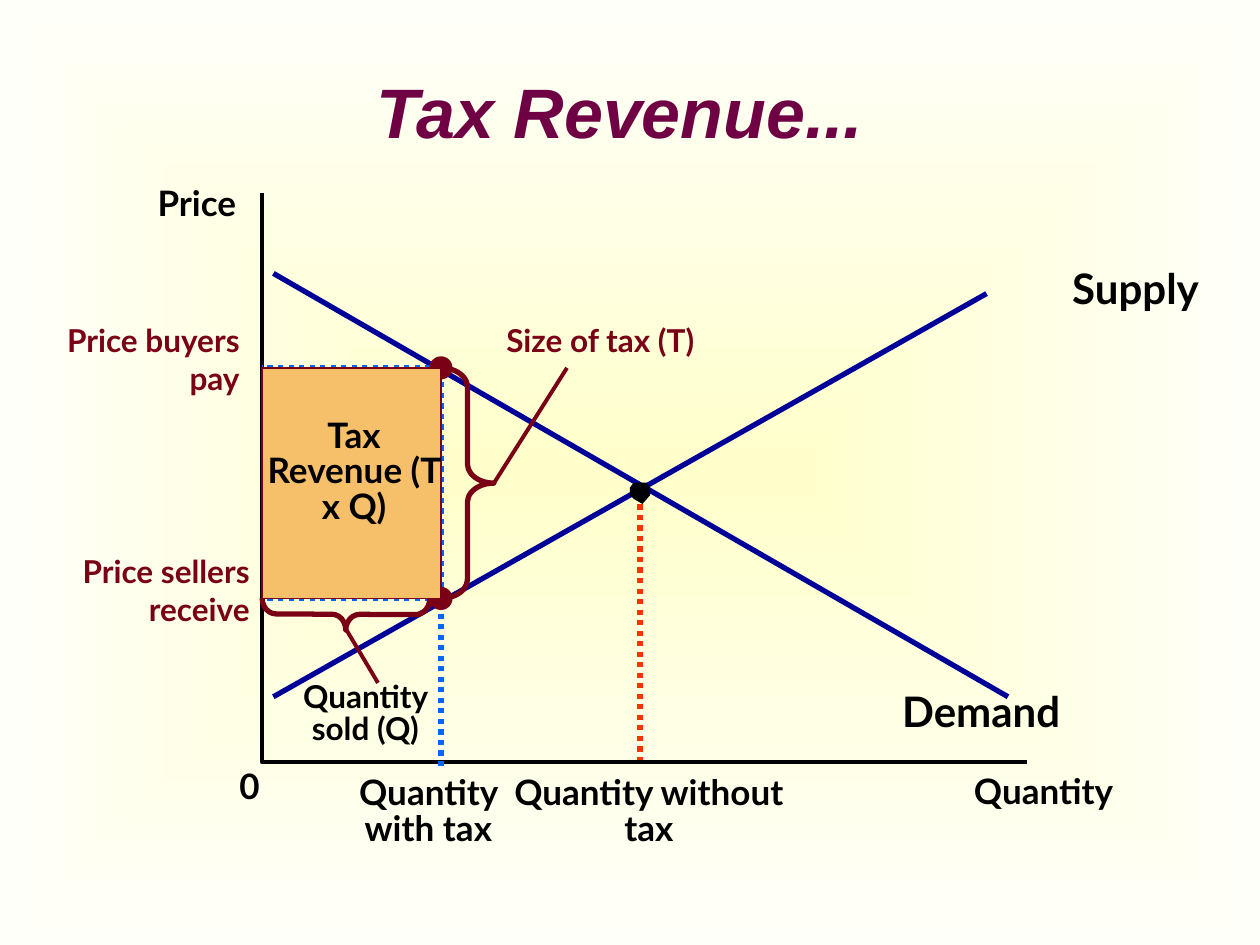
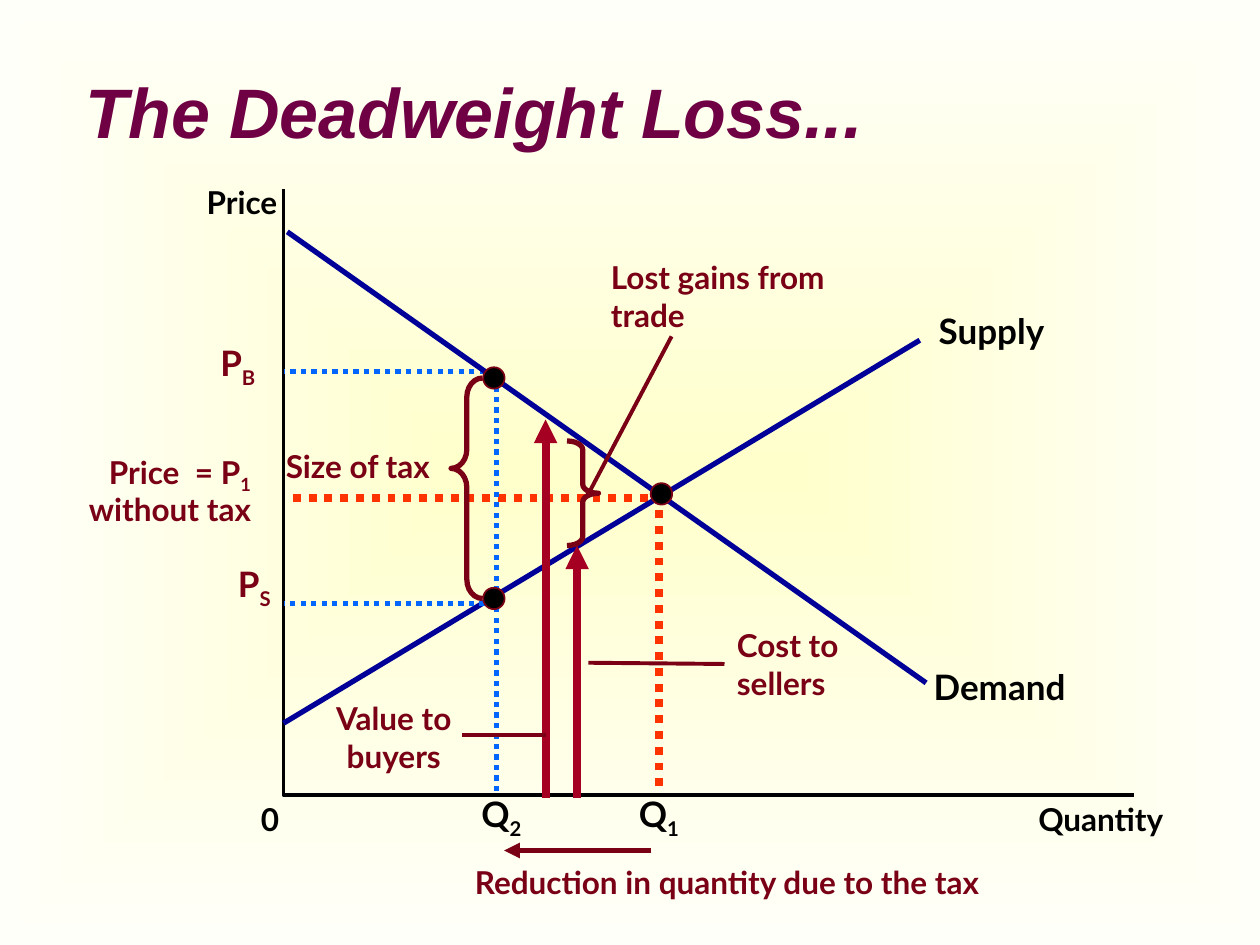
from dataclasses import dataclass
from typing import Any

from lxml import etree
from pptx import Presentation
from pptx import util as u
from pptx.dml.color import RGBColor
from pptx.enum import dml, shapes, text
from pptx.oxml.ns import qn

BLACK = "000000"
MAROON = "790015"
CRIMSON = "A50021"
PLUM = "6E0043"
NAVY = "000099"
BLUE = "0066FF"
ORANGE = "FF3300"
SAND = "F6BF69"
BACKGROUND = ("FFFFCC", "FFFFFA")
BODY_FONT, TITLE_FONT = "Lato", "Arial"
DOT = 0.17
LEFT, CENTER, RIGHT = text.PP_ALIGN.LEFT, text.PP_ALIGN.CENTER, text.PP_ALIGN.RIGHT


def color(value):
    return RGBColor.from_string(value)


def style_line(line, stroke, width, dotted=False):
    line.color.rgb = color(stroke)
    line.width = u.Pt(width)
    if dotted:
        line.dash_style = dml.MSO_LINE.ROUND_DOT


def style_shape(shape, fill=None, stroke=None, width=1, dotted=False):
    shape.shadow.inherit = False
    if fill:
        shape.fill.solid()
        shape.fill.fore_color.rgb = color(fill)
    else:
        shape.fill.background()
    if stroke:
        style_line(shape.line, stroke, width, dotted)
    else:
        shape.line.fill.background()


def style_run(run, size, ink, font=BODY_FONT, italic=False):
    run.font.size = u.Pt(size)
    run.font.name = font
    run.font.bold = True
    run.font.italic = italic
    run.font.color.rgb = color(ink)


@dataclass
class Diagram:
    slide: Any
    left: float
    top: float
    width: float
    height: float

    def x(self, value):
        return u.Inches(self.left + value)

    def y(self, value):
        return u.Inches(self.top + value)

    def box(self, left, top, width, height):
        return self.x(left), self.y(top), u.Inches(width), u.Inches(height)

    def line(self, start, end, stroke, width=3, dotted=False, arrow=False):
        connector = self.slide.shapes.add_connector(
            shapes.MSO_CONNECTOR.STRAIGHT,
            self.x(start[0]), self.y(start[1]), self.x(end[0]), self.y(end[1]))
        style_line(connector.line, stroke, width, dotted)
        properties = connector.element.spPr
        if arrow:
            etree.SubElement(properties.find(qn("a:ln")), qn("a:tailEnd")).set("type", "triangle")
        etree.SubElement(properties, qn("a:effectLst"))
        return connector

    def leader(self, start, end):
        return self.line(start, end, MAROON, 2.25)

    def outline(self, points, close=False, **style):
        corners = [(self.x(across), self.y(down)) for across, down in points]
        builder = self.slide.shapes.build_freeform(*corners[0])
        builder.add_line_segments(corners[1:], close=close)
        style_shape(builder.convert_to_shape(), **style)

    def preset(self, kind, box, **style):
        shape = self.slide.shapes.add_shape(kind, *self.box(*box))
        style_shape(shape, **style)
        return shape

    def dot(self, across, down, fill):
        self.preset(shapes.MSO_SHAPE.OVAL, (across - DOT / 2, down - DOT / 2, DOT, DOT),
                    fill=fill, stroke=MAROON)

    def brace(self, kind, box, curve, tip=0.5, rotation=0):
        brace = self.preset(kind, box, stroke=MAROON, width=3)
        brace.adjustments[0] = curve
        brace.adjustments[1] = tip
        brace.rotation = rotation

    def words(self, content, box, size, ink, align, spacing, before, insets, wrap):
        text_box = self.slide.shapes.add_textbox(*self.box(*box))
        frame = text_box.text_frame
        frame.word_wrap = wrap
        frame.auto_size = text.MSO_AUTO_SIZE.SHAPE_TO_FIT_TEXT
        frame.margin_left = frame.margin_right = u.Inches(insets[0])
        frame.margin_top = frame.margin_bottom = u.Inches(insets[1])
        for index, row in enumerate(content.split("\n")):
            paragraph = frame.add_paragraph() if index else frame.paragraphs[0]
            paragraph.alignment = align
            paragraph.line_spacing = spacing
            paragraph.space_before = u.Pt(before)
            for position, part in enumerate(row.split("_")):
                run = paragraph.add_run()
                run.text = part
                style_run(run, size, ink)
                if position:
                    run.font._element.set("baseline", "-25000")
        return text_box

    def label(self, content, box, size=20):
        return self.words(content, box, size, BLACK, LEFT, 1.0, 0, (0, 0), False)

    def caption(self, content, box, size=20):
        return self.words(content, box, size, BLACK, CENTER, 0.85, 0, (0, 0), True)

    def note(self, content, box, size=18, align=LEFT, spacing=1.0):
        return self.words(content, box, size, MAROON, align, spacing, 0.625 * size,
                          (0.1, 0.05), True)

    def axes(self):
        self.outline([(0, 0), (0, self.height), (self.width, self.height)],
                     stroke=BLACK, width=2.25)


def paint_background(master):
    fill = master.background.fill
    fill.gradient()
    for stop, value in zip(fill.gradient_stops, BACKGROUND):
        stop.color.rgb = color(value)
    gradient = next(master.element.iter(qn("a:gradFill")))
    gradient.remove(gradient.find(qn("a:lin")))
    shade = etree.SubElement(gradient, qn("a:path"))
    shade.set("path", "rect")
    center = etree.SubElement(shade, qn("a:fillToRect"))
    for side in "ltrb":
        center.set(side, "50000")


def add_titled_slide(presentation, words, left, width, align):
    slide = presentation.slides.add_slide(presentation.slide_layouts[5])
    title = slide.shapes.title
    title.left, title.top = u.Inches(left), u.Inches(0.25)
    title.width, title.height = u.Inches(width), u.Inches(1.25)
    frame = title.text_frame
    frame.word_wrap = True
    frame.auto_size = text.MSO_AUTO_SIZE.NONE
    frame.vertical_anchor = text.MSO_ANCHOR.MIDDLE
    paragraph = frame.paragraphs[0]
    paragraph.alignment = align
    run = paragraph.add_run()
    run.text = words
    style_run(run, 40, PLUM, TITLE_FONT, italic=True)
    return slide


def draw_tax_revenue(diagram):
    taxed, buyers, sellers = 1.42, 1.39, 3.22
    tax = sellers - buyers
    middle = buyers + tax / 2
    floor = diagram.height + 0.03

    diagram.line((3, 2.39), (3, floor), ORANGE, dotted=True)
    diagram.label("Price", (-0.83, -0.09, 0.69, 0.33))
    diagram.label("0", (-0.18, 4.54, 0.16, 0.33))
    diagram.label("Quantity", (5.65, 4.58, 1.24, 0.33))
    diagram.caption("Quantity without tax", (1.92, 4.64, 2.3, 0.57))
    diagram.label("Supply", (6.43, 0.55, 1.12, 0.4), 24)
    diagram.label("Demand", (5.08, 3.91, 1.4, 0.4), 24)
    diagram.line((0.09, 4), (5.75, 0.8), NAVY)
    diagram.line((0.09, 0.64), (5.92, 4), NAVY)
    diagram.axes()
    diagram.outline(
        [(3.02, 2.47), (3.08, 2.4), (3.08, 2.34), (3.05, 2.3),
         (2.95, 2.3), (2.92, 2.34), (2.92, 2.4), (2.95, 2.43)],
        close=True, fill=BLACK)

    diagram.line((taxed, floor), (taxed, buyers), BLUE, dotted=True)
    for price in (sellers, buyers):
        diagram.line((taxed, price), (0, price), BLUE, dotted=True)
        diagram.dot(taxed, price, MAROON)
    diagram.note("Price sellers receive", (-1.75, 2.8, 1.75, 0.7), align=RIGHT)
    diagram.caption("Quantity with tax", (0.59, 4.64, 1.46, 0.57))

    diagram.brace(shapes.MSO_SHAPE.RIGHT_BRACE, (taxed, buyers, 0.42, tax), 0.36)
    diagram.note("Size of tax (T)", (1.84, 0.97, 2.17, 0.4))
    diagram.leader((1.84, middle), (2.42, buyers))
    diagram.brace(shapes.MSO_SHAPE.LEFT_BRACE, (0.54, 2.68, 0.25, 1.33), 0.44, rotation=270.3)
    diagram.caption("Quantity sold (Q)", (0.09, 3.89, 1.46, 0.51), 18)
    diagram.leader((0.92, 3.89), (0.67, 3.47))

    diagram.preset(shapes.MSO_SHAPE.RECTANGLE, (0, buyers, taxed, tax), fill=SAND, stroke=MAROON)
    diagram.caption("Tax Revenue (T x Q)", (0, 1.8, 1.46, 0.85))
    diagram.note("Price buyers pay", (-1.83, 0.97, 1.75, 0.7), align=RIGHT)


def draw_deadweight_loss(diagram):
    value, cost = 2.08, 2.33

    diagram.label("Quantity", (5.99, 4.85, 1.11, 0.3), 18)
    diagram.label("0", (-0.18, 4.85, 0.14, 0.3), 18)
    diagram.label("Price", (-0.61, -0.05, 0.62, 0.3), 18)
    diagram.axes()
    diagram.outline([(2.98, 4.74), (2.98, 2.45), (0.07, 2.45)],
                    stroke=ORANGE, width=4.5, dotted=True)
    diagram.label("Demand", (5.16, 3.78, 1.17, 0.33))
    diagram.label("Supply", (5.2, 0.96, 0.93, 0.33))
    diagram.outline([(1.69, 4.78), (1.69, 1.45), (0, 1.45)], stroke=BLUE, width=3, dotted=True)
    diagram.line((0.03, 0.34), (5.1, 3.92), NAVY)
    diagram.line((5.05, 1.2), (0, 4.24), NAVY)
    diagram.line((1.68, 3.29), (0, 3.29), BLUE, dotted=True)

    diagram.label("Q_1", (2.82, 4.79, 0.42, 0.38))
    diagram.label("Q_2", (1.57, 4.79, 0.42, 0.38))
    diagram.note("P_B", (-0.6, 1.29, 0.67, 0.66), 20, spacing=0.5)
    diagram.note("Price  = P_1\nwithout tax", (-2.58, 2.17, 2.42, 0.55), align=RIGHT, spacing=0.45)
    diagram.note("P_S", (-0.46, 3.04, 0.55, 0.82), 20, spacing=0.5)
    for across, tip in ((value, 1.83), (cost, 2.83)):
        diagram.line((across, 4.83), (across, tip), CRIMSON, 4.5, arrow=True)

    diagram.brace(shapes.MSO_SHAPE.LEFT_BRACE, (1.33, 1.5, 0.25, 1.75), 0.6, 0.41)
    diagram.note("Size of tax", (-0.08, 2, 2, 0.4))
    diagram.brace(shapes.MSO_SHAPE.RIGHT_BRACE, (2.25, 2, 0.25, 0.83), 0.28)
    diagram.leader((2.42, 2.42), (3.08, 1.17))
    diagram.note("Lost gains from trade", (2.5, 0.5, 2.08, 0.7))
    cost_leader = diagram.leader((2.42, 3.76), (3.5, 3.77))
    cost_note = diagram.note("Cost to sellers", (3.5, 3.42, 1.75, 0.7))
    cost_leader.end_connect(cost_note, 1)
    diagram.leader((value, 4.33), (1.42, 4.33))
    diagram.note("Value to buyers", (0, 4, 1.75, 0.7), align=CENTER)
    diagram.line((2.92, 5.25), (1.75, 5.25), MAROON, arrow=True)
    diagram.note("Reduction in quantity due to the tax", (1.42, 5.3, 4.92, 0.4))

    for across, down in ((1.67, 1.5), (1.67, 3.25), (3, 2.42)):
        diagram.dot(across, down, BLACK)


def main():
    presentation = Presentation()
    presentation.slide_width = u.Inches(10)
    presentation.slide_height = u.Inches(7.5)
    paint_background(presentation.slide_master)

    revenue = add_titled_slide(presentation, "Tax Revenue...", 0.67, 8.5, CENTER)
    draw_tax_revenue(Diagram(revenue, 2.08, 1.53, 6.07, 4.52))
    loss = add_titled_slide(presentation, "The Deadweight Loss...", 0.58, 8.75, LEFT)
    draw_deadweight_loss(Diagram(loss, 2.25, 1.5, 6.75, 4.81))

    presentation.save("out.pptx")


if __name__ == "__main__":
    main()
